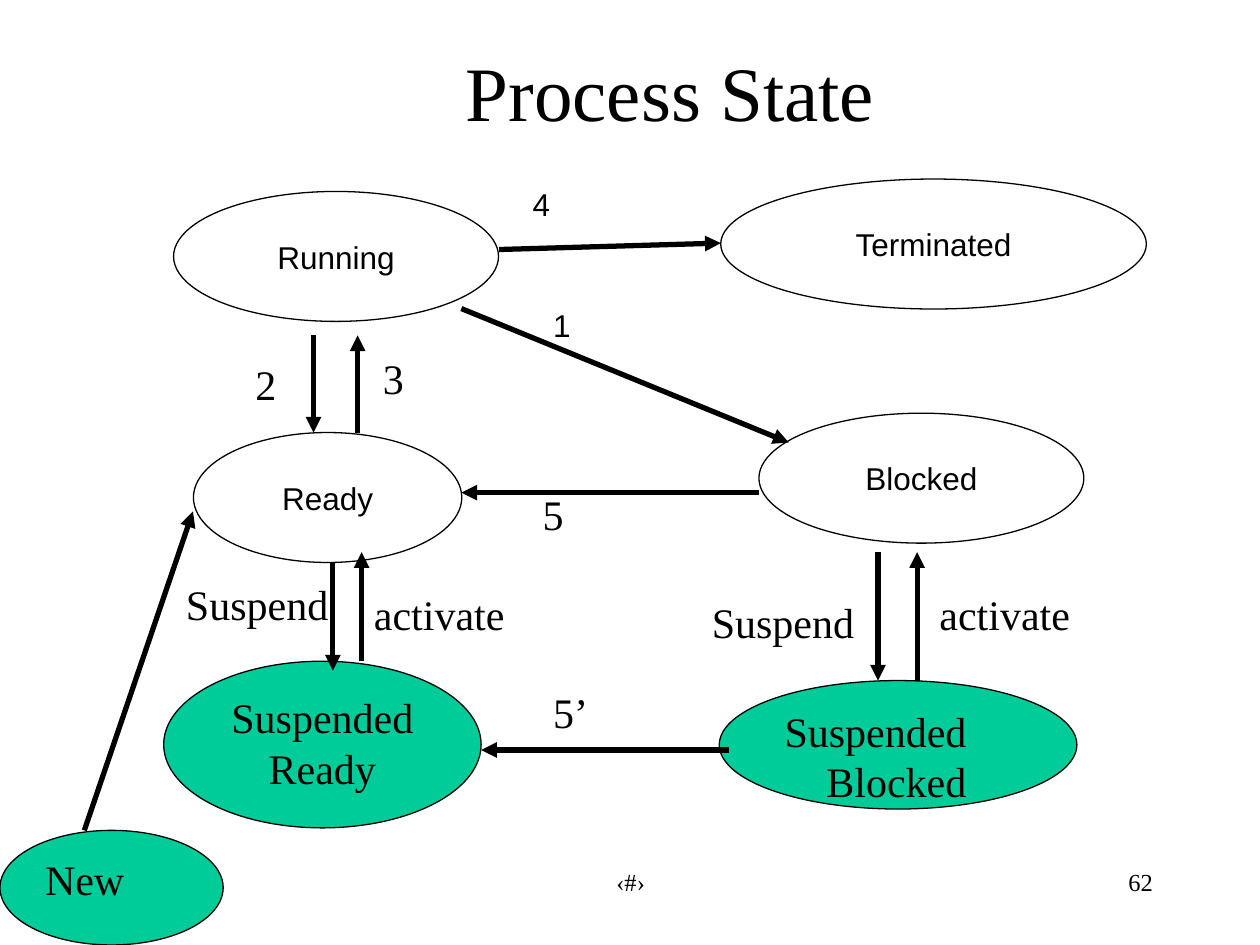
from lxml import etree
from pptx import Presentation
from pptx import util as u
from pptx.dml.color import RGBColor
from pptx.enum import shapes, text
from pptx.oxml.ns import qn

COLOURS = {"ink": "000000", "suspended": "00CC99"}
SERIF, SANS = "Times New Roman", "Arial"
LEFT, CENTRE, RIGHT = (text.PP_ALIGN.LEFT, text.PP_ALIGN.CENTER,
                       text.PP_ALIGN.RIGHT)
TOP, MIDDLE = text.MSO_ANCHOR.TOP, text.MSO_ANCHOR.MIDDLE


def colour(name):
    return RGBColor.from_string(COLOURS[name])


def set_all(target, values):
    for name, value in values.items():
        setattr(target, name, value)


class StateDiagram:
    """Style and current slide; every length is given in centimetres."""

    outline, arrow_width = u.Pt(0.75), u.Pt(3)

    def __init__(self, slide):
        self.slide = slide

    def add_wording(self, shape, wording, size=24, font=SERIF, align=LEFT,
                    anchor=TOP, **margins):
        frame = shape.text_frame
        set_all(frame, {"word_wrap": True, "vertical_anchor": anchor, **margins})
        paragraph = frame.paragraphs[0]
        paragraph.alignment = align
        run = paragraph.add_run()
        run.text = wording
        set_all(run.font, {"name": font, "size": u.Pt(size)})
        run.font.color.rgb = colour("ink")

    def label(self, wording, box, **style):
        caption = self.slide.shapes.add_textbox(*map(u.Cm, box))
        self.add_wording(caption, wording, **style)

    def state(self, wording, box, fill=None, **style):
        oval = self.slide.shapes.add_shape(shapes.MSO_SHAPE.OVAL, *map(u.Cm, box))
        oval.shadow.inherit = False
        if fill:
            oval.fill.solid()
            oval.fill.fore_color.rgb = colour(fill)
        else:
            oval.fill.background()
        oval.line.color.rgb = colour("ink")
        oval.line.width = self.outline
        self.add_wording(oval, wording, **style)

    def transition(self, start, end):
        """Draw an arrow with its head at the end point."""
        arrow = self.slide.shapes.add_connector(
            shapes.MSO_CONNECTOR.STRAIGHT, *map(u.Cm, start + end))
        arrow.line.color.rgb = colour("ink")
        arrow.line.width = self.arrow_width
        properties = arrow._element.spPr
        etree.SubElement(properties.find(qn("a:ln")), qn("a:tailEnd"),
                         type="triangle")
        etree.SubElement(properties, qn("a:effectLst"))


def main():
    deck = Presentation()
    set_all(deck, {"slide_width": u.Cm(25.4), "slide_height": u.Cm(19.05)})
    diagram = StateDiagram(deck.slides.add_slide(deck.slide_layouts[6]))

    diagram.label("Process State", (2.72, 0.23, 21.59, 3.18), size=44,
                  align=CENTRE, anchor=MIDDLE)

    active = {"size": 18, "font": SANS, "align": CENTRE, "anchor": MIDDLE}
    for wording, box in [
        ("Running", (3.5, 3.86, 6.55, 2.62)),
        ("Terminated", (14.53, 3.61, 8.58, 2.62)),
        ("Ready", (3.9, 8.72, 5.41, 2.62)),
        ("Blocked", (15.3, 8.33, 6.55, 2.62)),
    ]:
        diagram.state(wording, box, **active)

    for wording, box, style in [
        ("Suspended Ready", (3.3, 13.33, 6.4, 3.36), {"align": CENTRE}),
        ("Suspended Blocked", (14.5, 13.72, 7.21, 2.59),
         {"align": RIGHT, "margin_left": 0, "margin_right": u.Cm(1.17)}),
        ("New", (0, 16.74, 4.5, 2.31), {}),
    ]:
        diagram.state(wording, box, fill="suspended", **style)

    for start, end in [
        ((6.32, 6.76), (6.32, 8.72)),      # running to ready
        ((7.21, 8.72), (7.21, 6.76)),      # ready to running
        ((9.3, 6.22), (15.9, 8.92)),       # running to blocked
        ((10.06, 5.03), (14.53, 4.9)),     # running to terminated
        ((15.3, 9.93), (9.3, 9.93)),       # blocked to ready
        ((6.71, 11.33), (6.71, 13.52)),    # ready to suspended ready
        ((7.29, 13.33), (7.29, 11.13)),    # suspended ready to ready
        ((17.7, 11.13), (17.7, 13.72)),    # blocked to suspended blocked
        ((18.49, 13.72), (18.49, 11.13)),  # suspended blocked to blocked
        ((14.7, 15.12), (9.7, 15.12)),     # suspended blocked to suspended ready
        ((1.7, 16.74), (3.89, 10.31)),     # new to ready
    ]:
        diagram.transition(start, end)

    for wording, box in [("1", (10.9, 6.05, 2.06, 1.57)),
                         ("4", (10.49, 3.61, 2.06, 1.57))]:
        diagram.label(wording, box, size=18, font=SANS)

    for wording, left, top, width in [
        ("2", 4.9, 7.11, 1.19),
        ("3", 7.47, 6.98, 1.7),
        ("5", 10.69, 9.73, 2.01),
        ("5’", 10.9, 13.72, 2.59),
        ("Suspend", 3.5, 11.53, 3.61),
        ("Suspend", 14.1, 11.91, 3.61),
        ("activate", 7.29, 11.73, 4.19),
        ("activate", 18.69, 11.73, 4.19),
    ]:
        diagram.label(wording, (left, top, width, 1.3))

    diagram.label("62", (18.21, 17.35, 5.28, 1.27), size=14, align=RIGHT)
    diagram.label("‹#›", (8.69, 17.35, 8.05, 1.27), size=14, align=CENTRE)

    deck.save("out.pptx")


if __name__ == "__main__":
    main()
